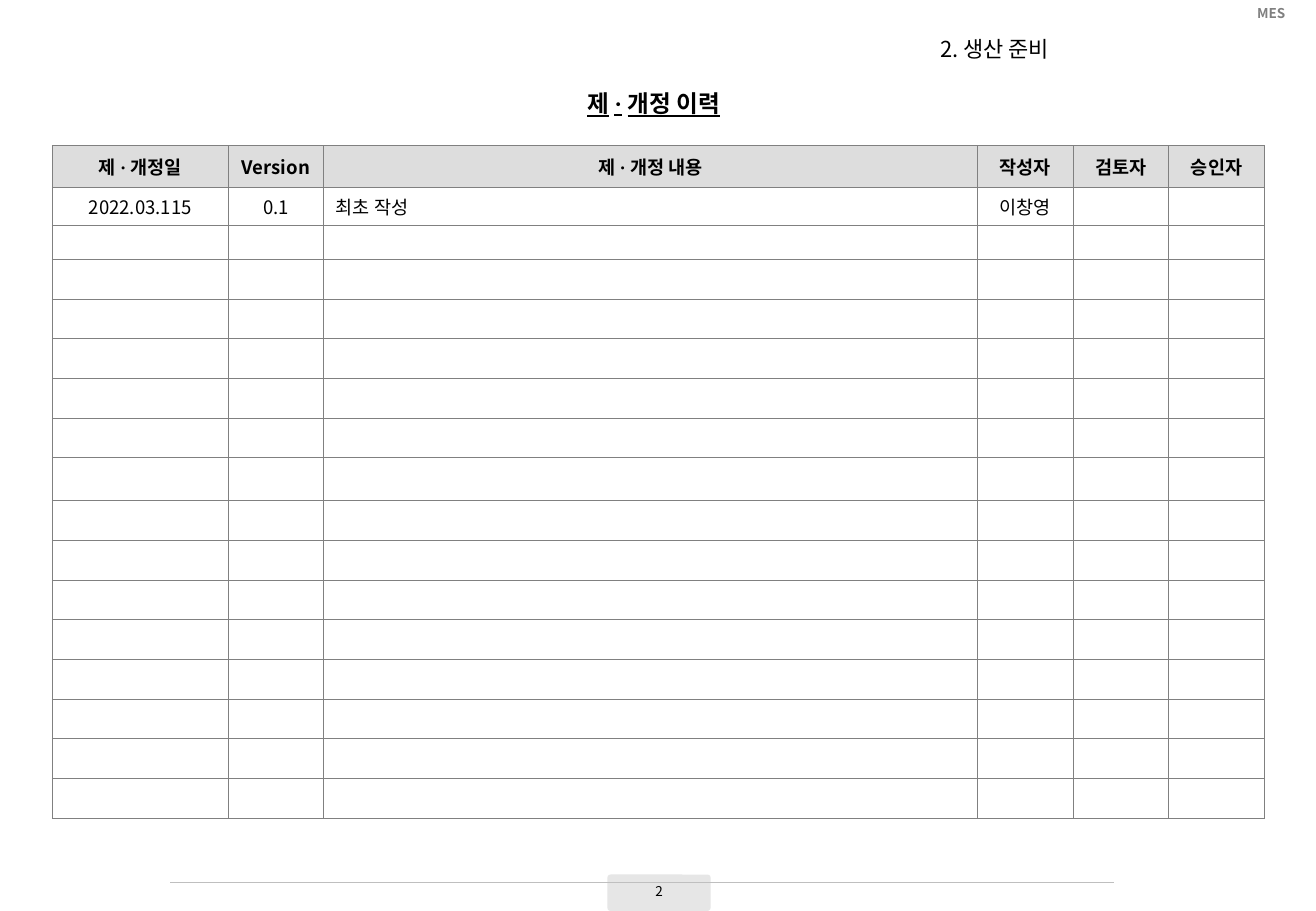
from lxml import etree
from pptx import Presentation, util as u
from pptx.dml.color import RGBColor
from pptx.enum import shapes, text
from pptx.oxml.ns import qn

Pt = u.Pt
COLORS = {"text": "000000", "tag": "808080", "grid": "808080",
          "header": "DDDDDD", "badge": "E6E6E6", "rule": "BFBFBF"}
FACE = "Noto Sans CJK KR"
DOT_FACE = "Times New Roman"
LEFT, CENTER, RIGHT = text.PP_ALIGN.LEFT, text.PP_ALIGN.CENTER, text.PP_ALIGN.RIGHT

COLUMN_WIDTHS = [104.4, 56.4, 387.6] + [56.7] * 3
ROW_HEIGHTS = [24.7, 22.3, 20.3] + [23.55] * 5 + [25.5] + [23.55] * 8
HISTORY = [
    ["제 · 개정일", "Version", "제 · 개정 내용", "작성자", "검토자", "승인자"],
    ["2022.03.115", "0.1", "최초 작성", "이창영", "", ""],
]


def color(name):
    return RGBColor.from_string(COLORS[name])


def set_face(font, face):
    """Set the typeface for both Latin and East Asian letters."""
    font.name = face
    etree.SubElement(font._element, qn("a:ea"), typeface=face)


class HistorySlide:
    def __init__(self, presentation):
        self.slide = presentation.slides.add_slide(presentation.slide_layouts[5])

    def put_text(self, frame, words, size, align=CENTER, bold=False,
                 underline=False, ink="text"):
        """Fill the first paragraph; a middle dot gets its own typeface."""
        paragraph = frame.paragraphs[0]
        paragraph.alignment = align
        font = paragraph.font
        font.size, font.bold = Pt(size), bold
        font.color.rgb = color(ink)
        set_face(font, FACE)
        before, dot, after = words.partition("·")
        pieces = [before.strip(), " ", dot, " ", after.strip()] if dot else [words]
        for piece in pieces:
            run = paragraph.add_run()
            run.text = piece
            if underline and piece != " ":
                run.font.underline = True
            if piece == "·":
                set_face(run.font, DOT_FACE)
        return paragraph

    def title(self, words, left, top, width, height):
        shape = self.slide.shapes.title
        shape.left, shape.top = Pt(left), Pt(top)
        shape.width, shape.height = Pt(width), Pt(height)
        shape.text_frame.vertical_anchor = text.MSO_ANCHOR.MIDDLE
        shape.text_frame.auto_size = text.MSO_AUTO_SIZE.NONE
        self.put_text(shape.text_frame, words, 13, LEFT)

    def label(self, words, left, top, width, height, size, inset=3.6,
              anchor=text.MSO_ANCHOR.TOP, **style):
        shape = self.slide.shapes.add_textbox(Pt(left), Pt(top), Pt(width), Pt(height))
        frame = shape.text_frame
        frame.word_wrap = True
        frame.vertical_anchor = anchor
        frame.margin_top = frame.margin_bottom = Pt(inset)
        self.put_text(frame, words, size, **style)

    def badge(self, left, top, width, height):
        shape = self.slide.shapes.add_shape(
            shapes.MSO_SHAPE.ROUNDED_RECTANGLE, Pt(left), Pt(top), Pt(width), Pt(height))
        shape.adjustments[0] = 0.09
        shape.shadow.inherit = False
        shape.fill.solid()
        shape.fill.fore_color.rgb = color("badge")
        shape.line.fill.background()

    def rule(self, left, right, y):
        line = self.slide.shapes.add_connector(
            shapes.MSO_CONNECTOR.STRAIGHT, Pt(left), Pt(y), Pt(right), Pt(y))
        line.line.color.rgb = color("rule")
        line.line.width = Pt(0.75)
        etree.SubElement(line._element.spPr, qn("a:effectLst"))

    def border(self, cell):
        properties = cell._tc.get_or_add_tcPr()
        for side in ("lnL", "lnR", "lnT", "lnB"):
            edge = etree.SubElement(properties, qn("a:" + side), w=str(Pt(0.5)))
            fill = etree.SubElement(edge, qn("a:solidFill"))
            etree.SubElement(fill, qn("a:srgbClr"), val=COLORS["grid"])

    def cell(self, cell, words, header, align):
        cell.vertical_anchor = text.MSO_ANCHOR.MIDDLE
        cell.margin_top = cell.margin_bottom = Pt(1.5)
        self.border(cell)
        if header:
            cell.fill.solid()
            cell.fill.fore_color.rgb = color("header")
        else:
            cell.fill.background()
        if words:
            paragraph = self.put_text(cell.text_frame, words, 11, align, bold=header)
            paragraph.space_before = Pt(2.2)
        else:
            # An empty cell takes its line height from the paragraph end mark.
            etree.SubElement(cell.text_frame.paragraphs[0]._p,
                             qn("a:endParaRPr"), sz="1100")

    def table(self, left, top):
        table = self.slide.shapes.add_table(
            len(ROW_HEIGHTS), len(COLUMN_WIDTHS), Pt(left), Pt(top),
            Pt(sum(COLUMN_WIDTHS)), Pt(sum(ROW_HEIGHTS))).table
        table.first_row = table.horz_banding = False
        for column, width in zip(table.columns, COLUMN_WIDTHS):
            column.width = Pt(width)
        for r, height in enumerate(ROW_HEIGHTS):
            table.rows[r].height = Pt(height)
            entries = HISTORY[r] if r < len(HISTORY) else [""] * len(COLUMN_WIDTHS)
            for c, words in enumerate(entries):
                align = LEFT if r and c == 2 else CENTER
                self.cell(table.cell(r, c), words, r == 0, align)


def main():
    presentation = Presentation()
    presentation.slide_width, presentation.slide_height = Pt(780), Pt(540)
    history = HistorySlide(presentation)
    history.label("MES", 539.3, 2.9, 229.7, 9.4, 8, inset=0,
                  anchor=text.MSO_ANCHOR.MIDDLE, align=RIGHT, bold=True, ink="tag")
    history.badge(360, 518.4, 61.2, 21.6)
    history.label("2", 360, 519.8, 61.2, 17.3, 8)
    history.rule(100.8, 660.2, 523.1)
    history.title("2. 생산 준비", 550, 13.7, 229.7, 30.2)
    history.label("제 · 개정 이력", 143.3, 49, 488.2, 23.8, 14, bold=True, underline=True)
    history.table(31, 86.4)
    presentation.save("out.pptx")


if __name__ == "__main__":
    main()
